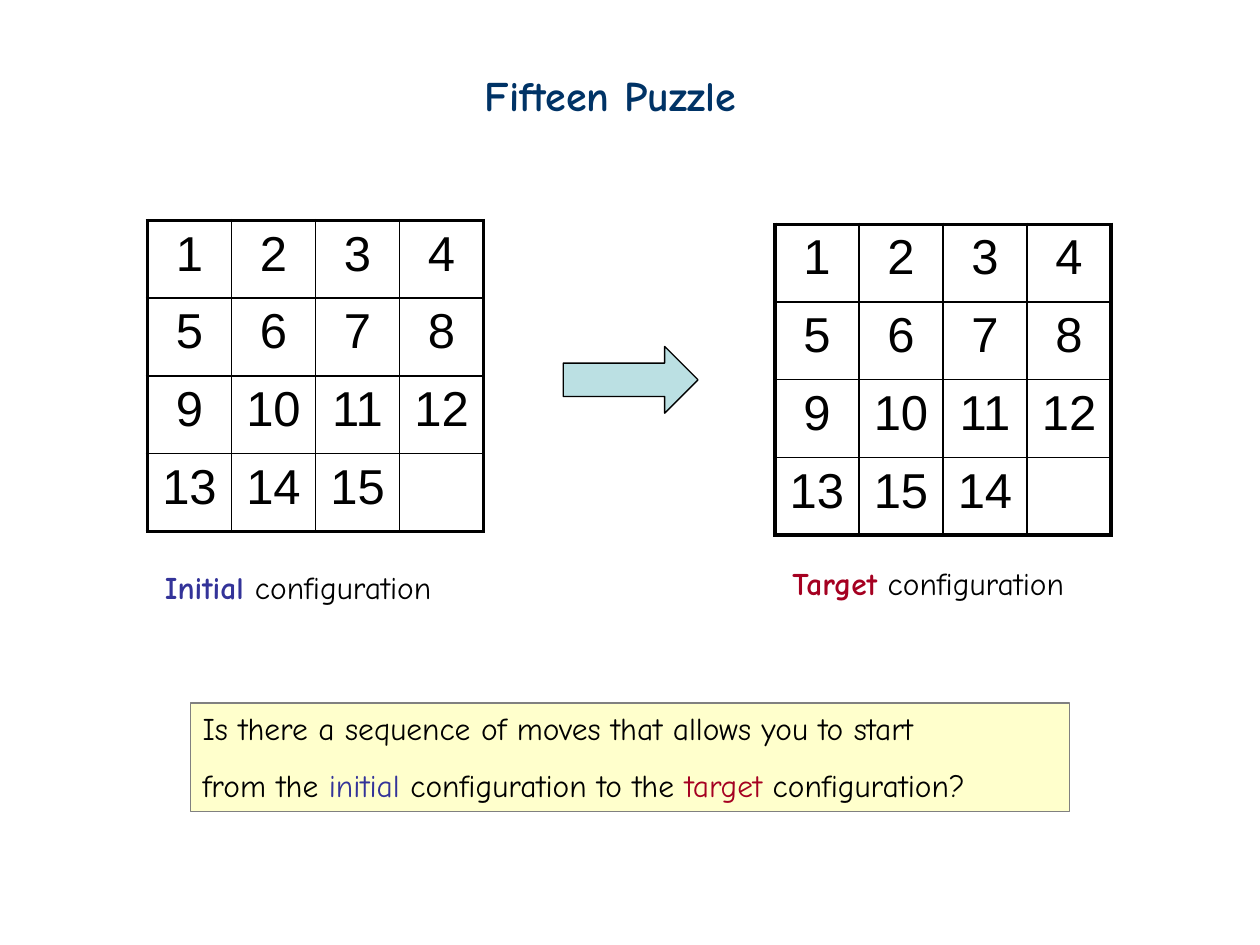
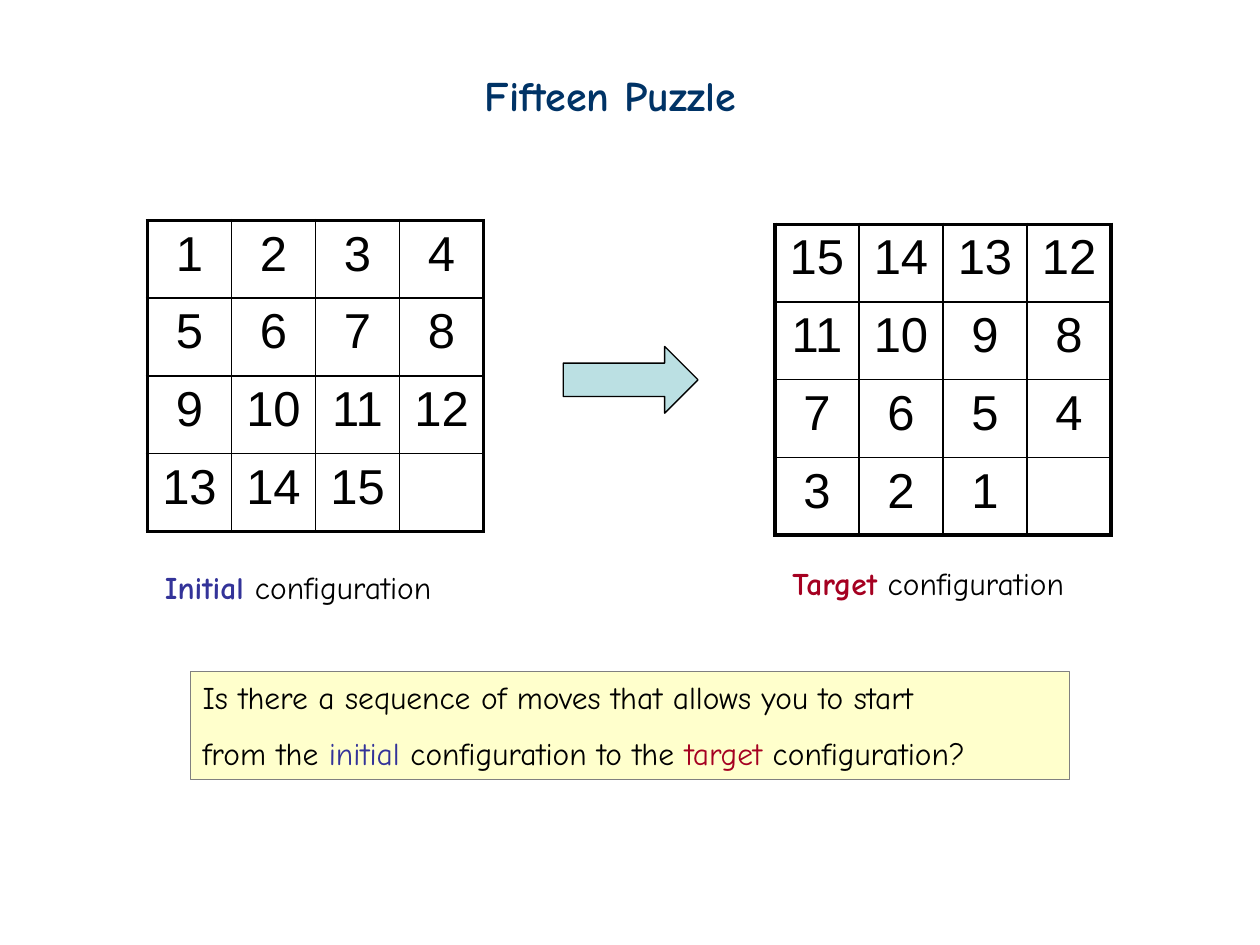
from lxml import etree
from pptx import Presentation, util as u
from pptx.dml.color import RGBColor
from pptx.enum import shapes, text
from pptx.oxml.ns import qn

BLACK, NAVY, BLUE, RED = "000000", "003366", "333399", "A50021"
AQUA, CREAM, GREY = "BBE0E3", "FFFFCC", "808080"


def rgb(value):
    return RGBColor.from_string(value)


class Deck:
    """Builds puzzle slides in one shared style."""

    font, number_font = "Comic Neue", "Arial"
    size = 4
    column, row = 0.667, 0.617
    thick, thin = 2.25, 1

    def __init__(self):
        self.prs = Presentation()
        self.prs.slide_width, self.prs.slide_height = u.Inches(10), u.Inches(7.5)
        self.slide = None

    def add_slide(self):
        self.slide = self.prs.slides.add_slide(self.prs.slide_layouts[6])

    def add_runs(self, p, runs, size):
        for words, color, bold in runs:
            r = p.add_run()
            r.text = words
            r.font.name, r.font.size, r.font.bold = self.font, u.Pt(size), bold
            r.font.color.rgb = rgb(color)

    def label(self, left, top, width, height, runs, size=18):
        sp = self.slide.shapes.add_textbox(*map(u.Inches, (left, top, width, height)))
        tf = sp.text_frame
        tf.word_wrap = False
        tf.auto_size = text.MSO_AUTO_SIZE.SHAPE_TO_FIT_TEXT
        self.add_runs(tf.paragraphs[0], runs, size)

    def shape(self, kind, left, top, width, height, fill, line):
        sp = self.slide.shapes.add_shape(kind, *map(u.Inches, (left, top, width, height)))
        sp.shadow.inherit = False
        sp.fill.solid()
        sp.fill.fore_color.rgb = rgb(fill)
        sp.line.color.rgb = rgb(line)
        sp.line.width = u.Pt(0.75)
        return sp

    def arrow(self):
        self.shape(shapes.MSO_SHAPE.RIGHT_ARROW, 4.47, 2.75, 1.07, 0.53, AQUA, BLACK)

    def question(self, top, lines):
        sp = self.shape(shapes.MSO_SHAPE.RECTANGLE, 1.51, top, 6.98, 0.86, CREAM, GREY)
        tf = sp.text_frame
        tf.word_wrap = True
        tf.auto_size = text.MSO_AUTO_SIZE.SHAPE_TO_FIT_TEXT
        tf.vertical_anchor = text.MSO_ANCHOR.TOP
        for i, runs in enumerate(lines):
            p = tf.add_paragraph() if i else tf.paragraphs[0]
            p.alignment = text.PP_ALIGN.LEFT
            if i:
                p.line_spacing = 1.5
            self.add_runs(p, runs, 18)

    def border(self, cell, outer):
        tc_pr = cell._tc.get_or_add_tcPr()
        for i, (side, is_outer) in enumerate(outer.items()):
            width = u.Pt(self.thick if is_outer else self.thin)
            ln = etree.Element(qn(f"a:ln{side}"), w=str(width))
            fill = etree.SubElement(ln, qn("a:solidFill"))
            etree.SubElement(fill, qn("a:srgbClr"), val=BLACK)
            tc_pr.insert(i, ln)

    def board(self, left, top, numbers):
        n, last = self.size, self.size - 1
        box = map(u.Inches, (left, top, n * self.column, n * self.row))
        frame = self.slide.shapes.add_table(n, n, *box)
        table = frame.table
        table.first_row = table.horz_banding = False
        for i, cell in enumerate(table.iter_cells()):
            row, col = divmod(i, n)
            cell.fill.background()
            self.border(cell, {"L": col == 0, "R": col == last,
                               "T": row == 0, "B": row == last})
            if i < len(numbers):
                p = cell.text_frame.paragraphs[0]
                p.text = str(numbers[i])
                p.alignment = text.PP_ALIGN.CENTER
                font = p.runs[0].font
                font.name, font.size = self.number_font, u.Pt(28)
                font.color.rgb = rgb(BLACK)

    def puzzle(self, target, question_top):
        self.add_slide()
        self.label(3.75, 0.5, 2.5, 0.5, [("Fifteen Puzzle", NAVY, True)], 24)
        self.board(1.17, 1.75, range(1, 16))
        self.board(6.15, 1.78, target)
        self.arrow()
        self.label(1.21, 4.46, 2.59, 0.4,
                   [("Initial ", BLUE, True), ("configuration", BLACK, False)])
        self.label(6.19, 4.43, 2.65, 0.4,
                   [("Target", RED, True), (" configuration", BLACK, False)])
        self.question(question_top, [
            [("Is there a sequence of moves that allows you to start", BLACK, False)],
            [("from the ", BLACK, False), ("initial", BLUE, False),
             (" configuration to the ", BLACK, False), ("target", RED, False),
             (" configuration?", BLACK, False)],
        ])


def main():
    deck = Deck()
    deck.puzzle([*range(1, 14), 15, 14], 5.58)
    deck.puzzle(range(15, 0, -1), 5.33)
    deck.prs.save("out.pptx")


if __name__ == "__main__":
    main()
